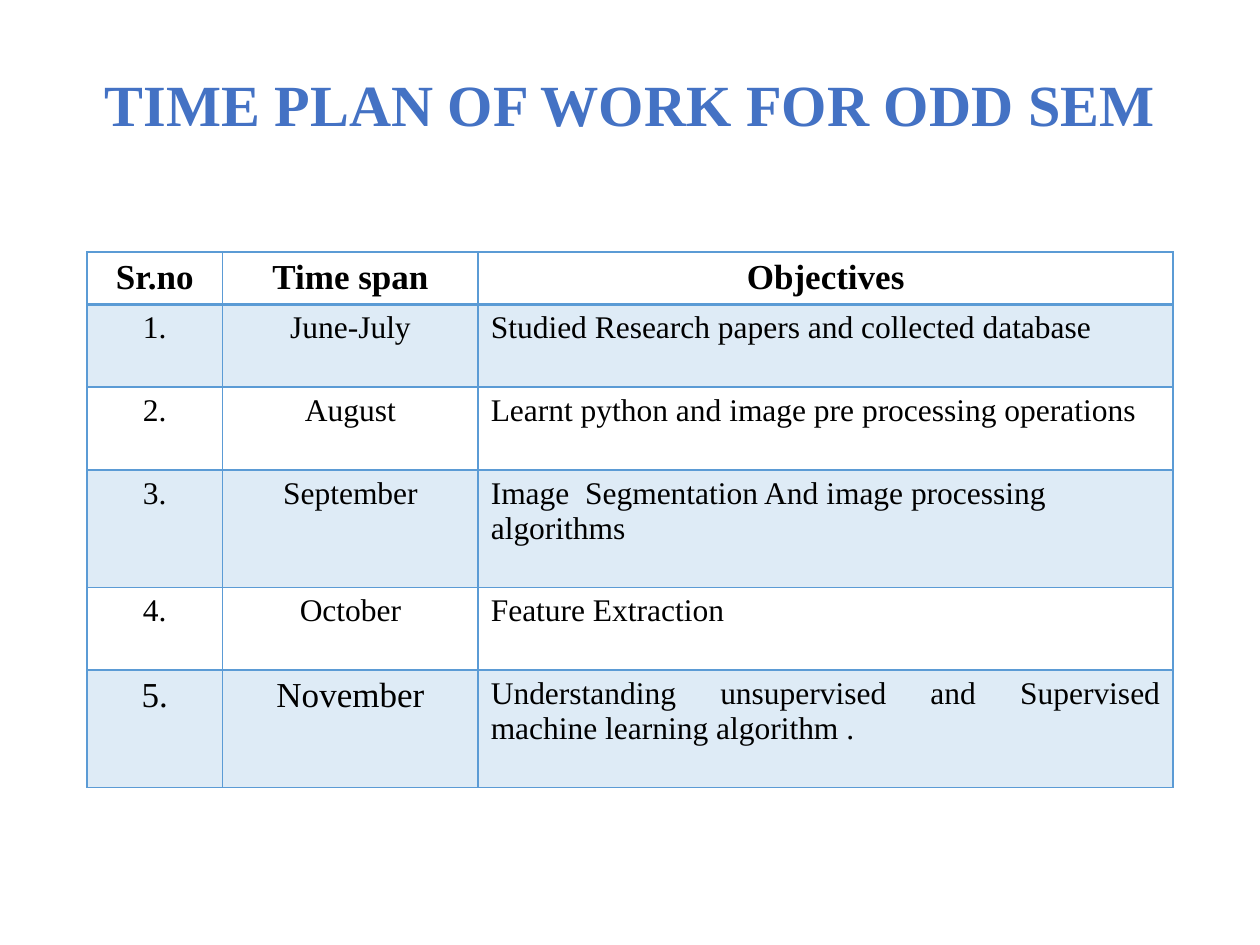
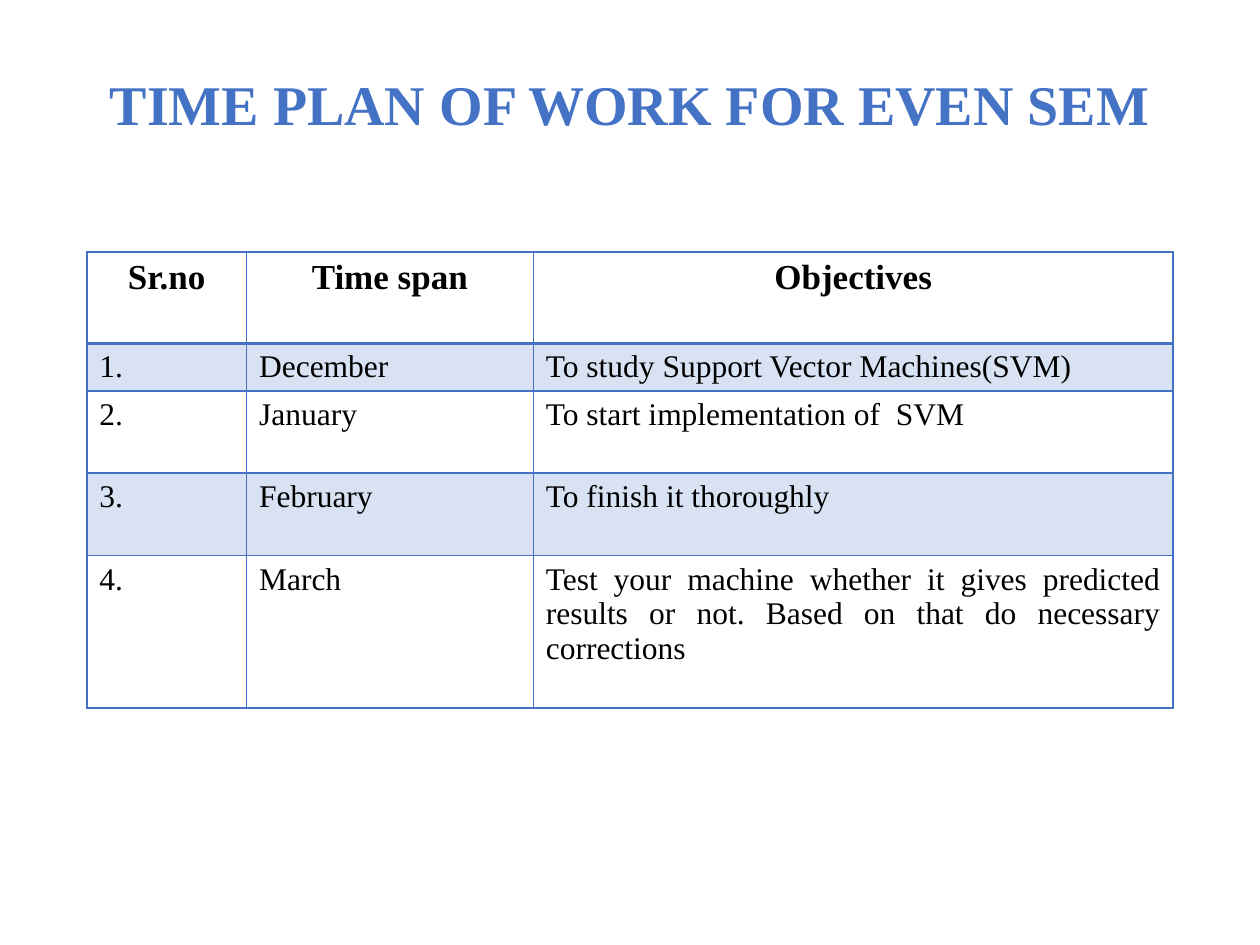
from dataclasses import dataclass

from lxml.etree import SubElement
from pptx import Presentation
from pptx.dml.color import RGBColor
from pptx.enum.text import MSO_ANCHOR, MSO_AUTO_SIZE, PP_ALIGN
from pptx.oxml.ns import qn
from pptx.presentation import Presentation as Deck
from pptx.slide import Slide
from pptx.table import _Cell as Cell
from pptx.text.text import _Paragraph as Para
from pptx.util import Cm, Pt


@dataclass(frozen=True)
class Theme:
    font: str = "Times New Roman"
    ink: str = "000000"
    blue: str = "4472C4"
    sky: str = "5B9BD5"
    tint: int = 20
    head: float = 20
    body: float = 18
    thin: float = 0.96
    thick: float = 1.98


@dataclass(frozen=True)
class Row:
    span: str
    goal: str
    height: float
    size: float


@dataclass(frozen=True)
class Plan:
    title: str
    size: float
    color: str
    align: PP_ALIGN
    widths: tuple[float, ...]
    top: float
    rows: tuple[Row, ...]


THEME = Theme()
LEFT, WIDTH = 1.75, 21.9
TITLE_TOP, TITLE_HEIGHT = 1.02, 2.3
TABLE_TOP = 5.08
HEADS = ("Sr.no", "Time span", "Objectives")

PLANS = (
    Plan(
        "TIME PLAN OF WORK FOR ODD SEM", 33.3, THEME.sky, PP_ALIGN.CENTER,
        (2.74, 5.15, 14.01), 1.05,
        (
            Row("June-July", "Studied Research papers and collected database", 1.67, THEME.body),
            Row("August", "Learnt python and image pre processing operations", 1.67, THEME.body),
            Row("September", "Image  Segmentation And image processing\nalgorithms", 2.37, THEME.body),
            Row("October", "Feature Extraction", 1.67, THEME.body),
            Row("November", "Understanding unsupervised and Supervised machine learning algorithm .",
                2.37, THEME.head),
        ),
    ),
    Plan(
        "TIME PLAN OF WORK FOR EVEN SEM", 32, THEME.blue, PP_ALIGN.LEFT,
        (3.22, 5.78, 12.9), 1.84,
        (
            Row("December", "To study Support Vector Machines(SVM)", 0.96, THEME.body),
            Row("January", "To start implementation of  SVM", 1.66, THEME.body),
            Row("February", "To finish it thoroughly", 1.66, THEME.body),
            Row("March", "Test your machine whether it gives predicted results or not. "
                "Based on that do necessary corrections", 3.07, THEME.body),
        ),
    ),
)


def add_text(para: Para, text: str, size: float, color: str, bold: bool, align: PP_ALIGN) -> None:
    para.alignment = align
    run = para.add_run()
    run.text = text
    run.font.name = THEME.font
    run.font.size = Pt(size)
    run.font.bold = bold
    run.font.color.rgb = RGBColor.from_string(color)


def fill_cell(cell: Cell, text: str, size: float, bold: bool, align: PP_ALIGN) -> None:
    frame = cell.text_frame
    for index, line in enumerate(text.split("\n")):
        para = frame.add_paragraph() if index else frame.paragraphs[0]
        add_text(para, line, size, THEME.ink, bold, align)


def style_cell(cell: Cell, row: int, color: str) -> None:
    props = cell._tc.get_or_add_tcPr()
    thick = {0: "lnB", 1: "lnT"}.get(row)
    for side in ("lnL", "lnR", "lnT", "lnB"):
        width = THEME.thick if side == thick else THEME.thin
        line = SubElement(props, qn(f"a:{side}"), w=str(int(Pt(width))))
        paint = SubElement(line, qn("a:solidFill"))
        SubElement(paint, qn("a:srgbClr"), val=color)
    if row % 2:
        cell.fill.solid()
        cell.fill.fore_color.rgb = RGBColor.from_string(color)
        shade = props.find(qn("a:solidFill")).find(qn("a:srgbClr"))
        SubElement(shade, qn("a:alpha"), val=str(THEME.tint * 1000))
    else:
        cell.fill.background()


def add_title(slide: Slide, plan: Plan) -> None:
    title = slide.shapes.title
    title.left, title.top = Cm(LEFT), Cm(TITLE_TOP)
    title.width, title.height = Cm(WIDTH), Cm(TITLE_HEIGHT)
    frame = title.text_frame
    frame.auto_size = MSO_AUTO_SIZE.NONE
    frame.word_wrap = True
    frame.vertical_anchor = MSO_ANCHOR.MIDDLE
    para = frame.paragraphs[0]
    para.line_spacing = 0.9
    add_text(para, plan.title, plan.size, THEME.blue, True, PP_ALIGN.CENTER)


def add_grid(slide: Slide, plan: Plan) -> None:
    heights = (plan.top, *(row.height for row in plan.rows))
    table = slide.shapes.add_table(
        len(heights), len(HEADS), Cm(LEFT), Cm(TABLE_TOP), Cm(WIDTH), Cm(sum(heights))
    ).table
    table.horz_banding = False
    for col, width in zip(table.columns, plan.widths):
        col.width = Cm(width)
    for row, height in zip(table.rows, heights):
        row.height = Cm(height)
    for col, head in enumerate(HEADS):
        fill_cell(table.cell(0, col), head, THEME.head, True, PP_ALIGN.CENTER)
    for index, row in enumerate(plan.rows, 1):
        fill_cell(table.cell(index, 0), f"{index}.", row.size, False, plan.align)
        fill_cell(table.cell(index, 1), row.span, row.size, False, plan.align)
        fill_cell(table.cell(index, 2), row.goal, THEME.body, False, PP_ALIGN.JUSTIFY)
    for index in range(len(heights)):
        for col in range(len(HEADS)):
            style_cell(table.cell(index, col), index, plan.color)


def add_plan(deck: Deck, plan: Plan) -> None:
    slide = deck.slides.add_slide(deck.slide_layouts.get_by_name("Title Only"))
    add_title(slide, plan)
    add_grid(slide, plan)


def main() -> None:
    deck = Presentation()
    deck.slide_width, deck.slide_height = Cm(25.4), Cm(19.05)
    for plan in PLANS:
        add_plan(deck, plan)
    deck.save("out.pptx")


if __name__ == "__main__":
    main()
